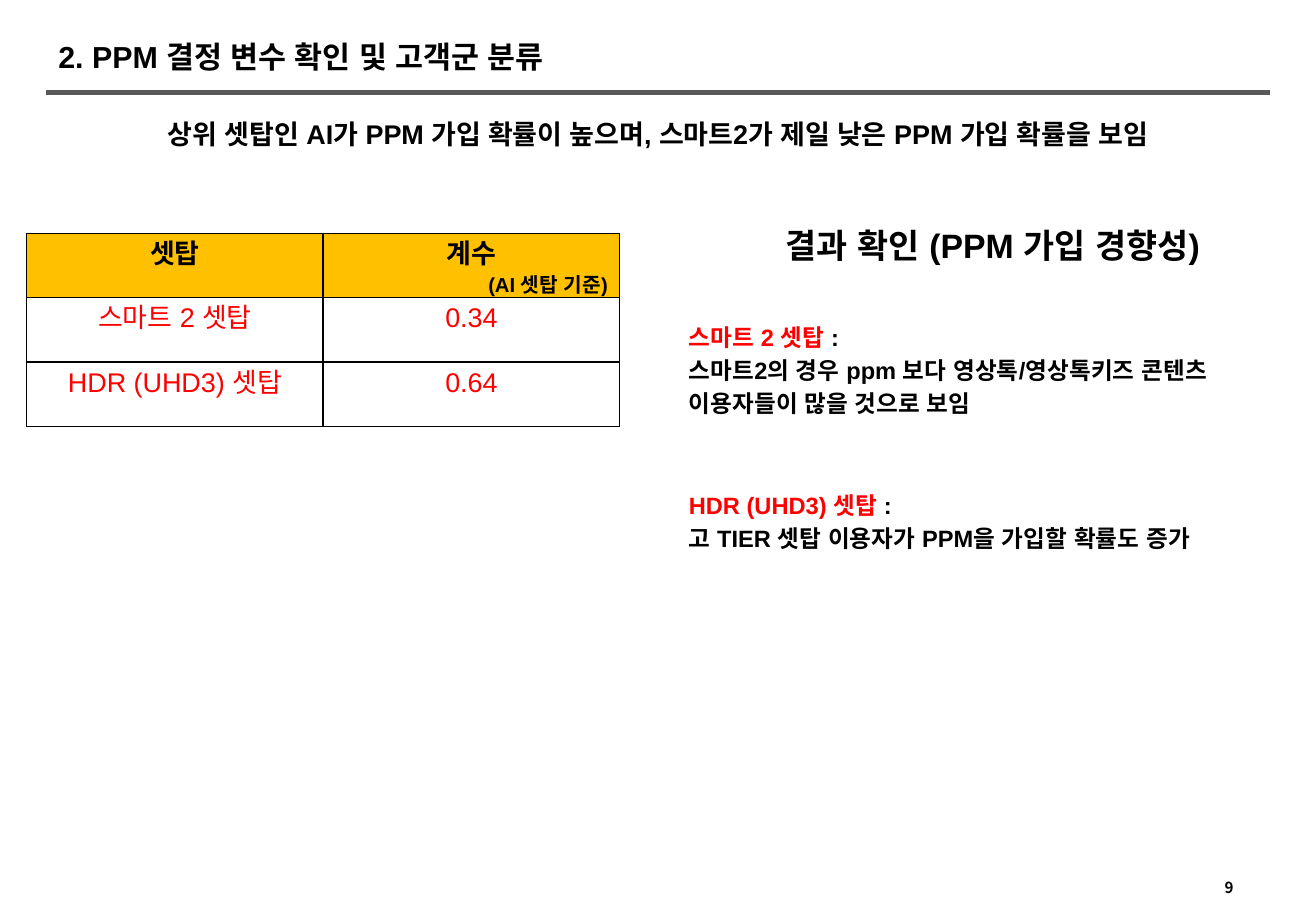
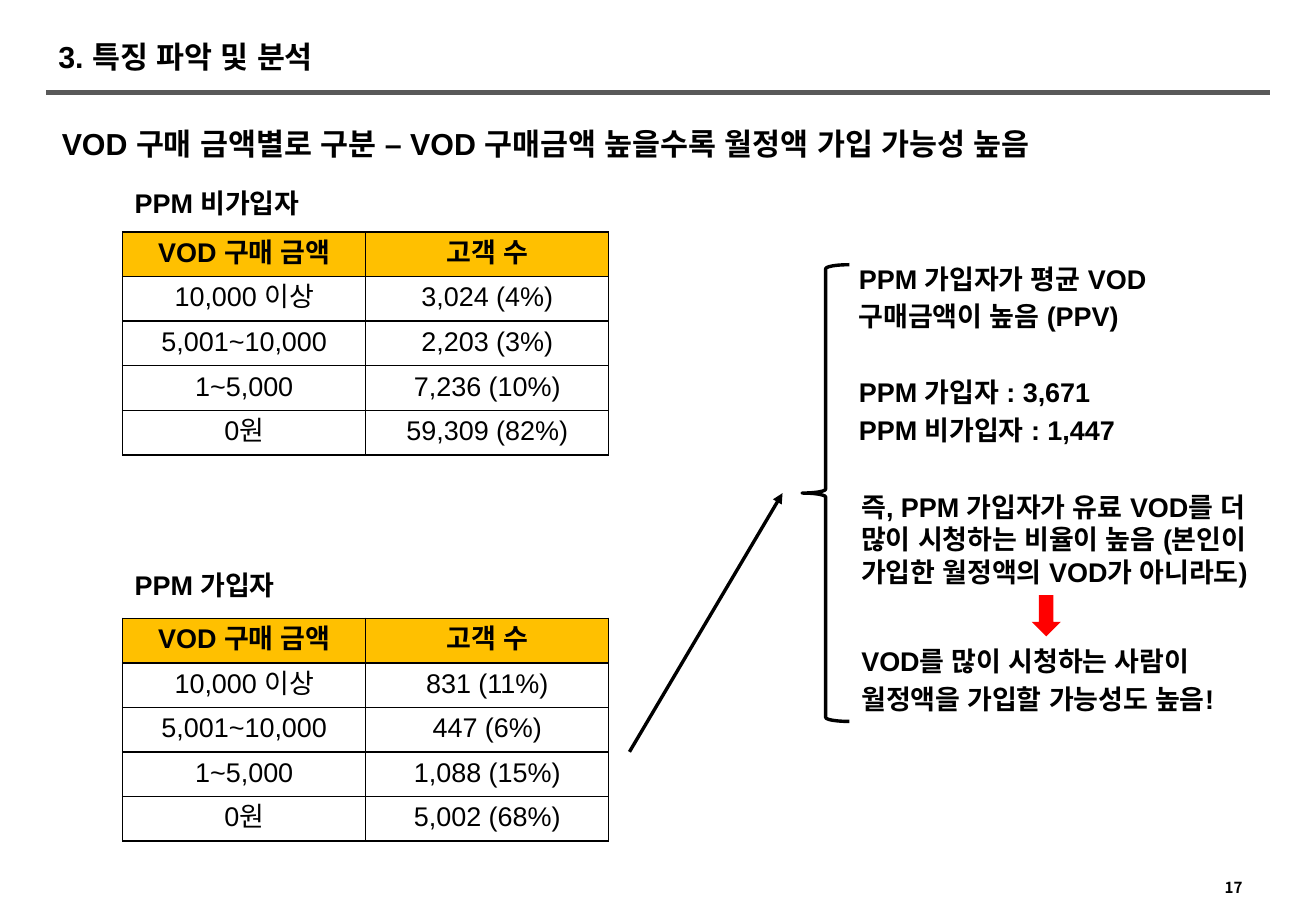
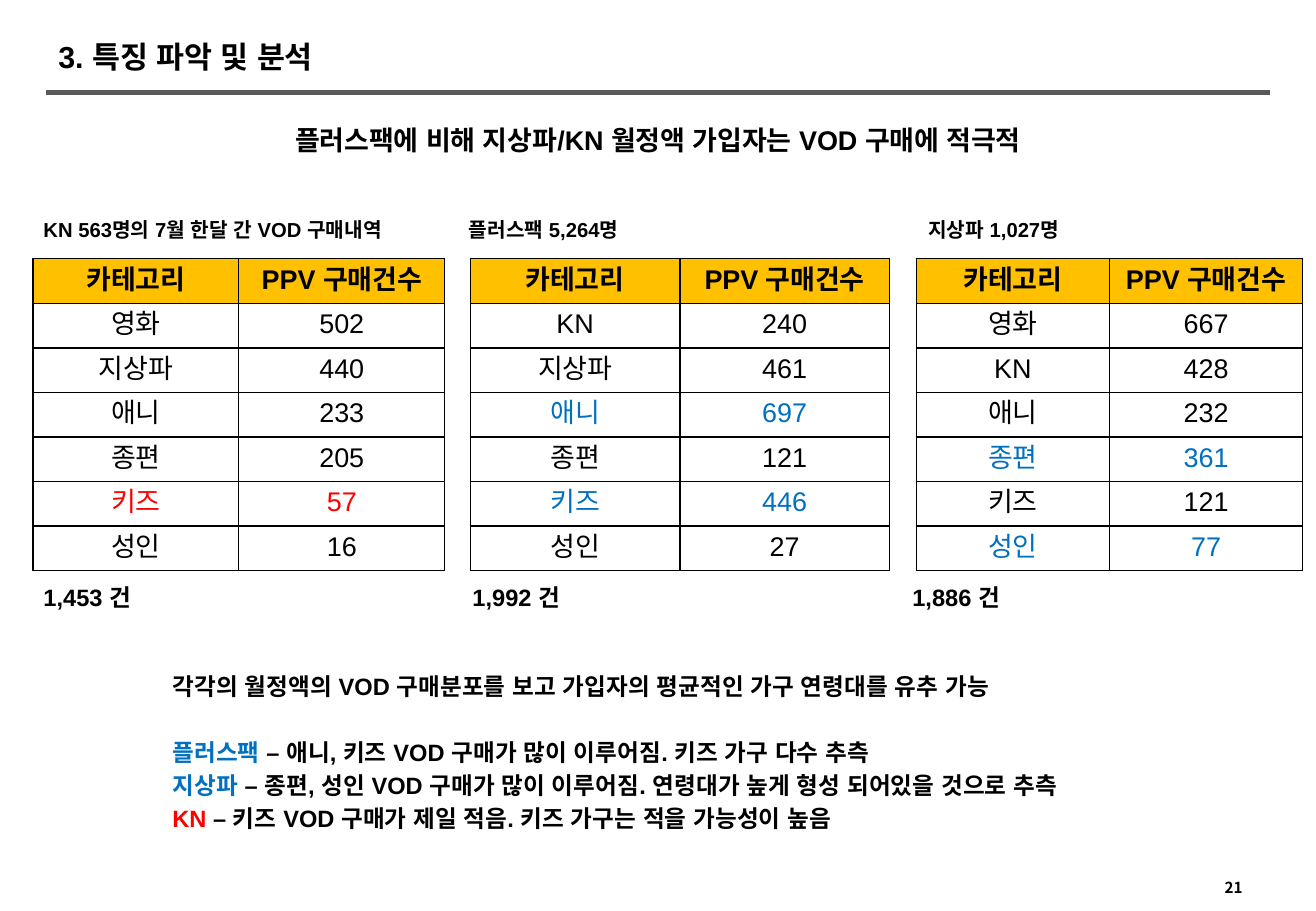
from lxml import etree
from pptx import Presentation
from pptx import util as u
from pptx.dml.color import RGBColor
from pptx.enum import shapes, text
from pptx.oxml import ns

BLACK = RGBColor(0x00, 0x00, 0x00)
WHITE = RGBColor(0xFF, 0xFF, 0xFF)
GREY = RGBColor(0x59, 0x59, 0x59)
AMBER = RGBColor(0xFF, 0xC0, 0x00)
RED = RGBColor(0xFF, 0x00, 0x00)
BLUE = RGBColor(0x00, 0x70, 0xC0)
CENTER = text.PP_ALIGN.CENTER
LEFT = text.PP_ALIGN.LEFT


def write(frame, paras, size=16, color=BLACK, bold=True, align=LEFT,
          font="Arial", gaps=()):
    """Fill a frame. A para is a string or a list of (text, colour) spans;
    the indexes in gaps get one extra line of space before them."""
    frame.word_wrap = True
    for index, spans in enumerate(paras):
        para = frame.paragraphs[0] if index == 0 else frame.add_paragraph()
        para.alignment = align
        if index:
            para.space_before = u.Pt(size * (1.6 if index in gaps else 0.2))
        if isinstance(spans, str):
            spans = [(spans, color)]
        for words, tint in spans:
            span = para.add_run()
            span.text = words
            span.font.size = u.Pt(size)
            span.font.bold = bold
            span.font.color.rgb = tint
            span.font.name = font
            east = etree.SubElement(span.font._element, ns.qn("a:ea"))
            east.set("typeface", font)


class Report:
    """Holds the deck, its style and the current page."""

    def __init__(self):
        self.deck = Presentation()
        self.deck.slide_width = u.Inches(10.83)
        self.deck.slide_height = u.Inches(7.5)
        self.page = None

    def new_page(self, title, number):
        self.page = self.deck.slides.add_slide(self.deck.slide_layouts[5])
        # Title placeholder
        box = self.page.shapes.title
        box.left, box.top = u.Inches(0.38), u.Inches(0.27)
        box.width, box.height = u.Inches(7), u.Inches(0.38)
        box.text_frame.auto_size = text.MSO_AUTO_SIZE.NONE
        box.text_frame.vertical_anchor = text.MSO_ANCHOR.MIDDLE
        write(box.text_frame, [title], size=18)
        # Rule under the title and page number
        self.line((0.38, 0.76), (10.45, 0.76), color=GREY, width=3)
        self.text(9.98, 7.18, 0.47, 0.25, [str(number)], size=9,
                  font="Noto Sans CJK KR")

    def text(self, left, top, width, height, paras, **style):
        box = self.page.shapes.add_textbox(
            u.Inches(left), u.Inches(top), u.Inches(width), u.Inches(height))
        write(box.text_frame, paras, **style)

    def line(self, start, end, color=BLACK, width=2, arrow=False):
        line = self.page.shapes.add_connector(
            shapes.MSO_CONNECTOR.STRAIGHT,
            *(u.Inches(value) for value in (*start, *end)))
        line.line.color.rgb = color
        line.line.width = u.Pt(width)
        if arrow:
            tail = etree.SubElement(line.line._get_or_add_ln(), ns.qn("a:tailEnd"))
            tail.set("type", "triangle")
        etree.SubElement(line._element.spPr, ns.qn("a:effectLst"))

    def shape(self, kind, left, top, width, height, fill, outline=None):
        shape = self.page.shapes.add_shape(
            kind, u.Inches(left), u.Inches(top), u.Inches(width), u.Inches(height))
        shape.shadow.inherit = False
        shape.fill.solid()
        shape.fill.fore_color.rgb = fill
        if outline is None:
            shape.line.fill.background()
        else:
            shape.line.color.rgb = outline
            shape.line.width = u.Pt(2)

    def table(self, left, top, width, height, header, rows, accents=None):
        """Draw a table; accents maps a row's first cell to its text colour."""
        accents = accents or {}
        lines = [header, *rows]
        table = self.page.shapes.add_table(
            len(lines), len(header), u.Inches(left), u.Inches(top),
            u.Inches(width), u.Inches(height)).table
        table.first_row = table.horz_banding = False
        for row, values in enumerate(lines):
            for column, value in enumerate(values):
                cell = table.cell(row, column)
                write(cell.text_frame, [value], bold=row == 0, align=CENTER,
                      color=accents.get(values[0], BLACK))
                cell.fill.solid()
                cell.fill.fore_color.rgb = WHITE if row else AMBER
                self.borders(cell)

    def borders(self, cell):
        properties = cell._tc.get_or_add_tcPr()
        for index, side in enumerate(("lnL", "lnR", "lnT", "lnB")):
            edge = etree.Element(ns.qn("a:" + side), w=str(u.Pt(1)))
            fill = etree.SubElement(edge, ns.qn("a:solidFill"))
            etree.SubElement(fill, ns.qn("a:srgbClr"), val=str(BLACK))
            properties.insert(index, edge)


def set_top_page(report):
    report.new_page("2. PPM 결정 변수 확인 및 고객군 분류", 9)
    report.text(0.73, 0.92, 9.37, 0.37,
                ["상위 셋탑인 AI가 PPM 가입 확률이 높으며, 스마트2가 제일 낮은 PPM 가입 확률을 보임"],
                align=CENTER)
    # Coefficients
    rows = [("스마트 2 셋탑", "0.34"), ("HDR (UHD3) 셋탑", "0.64")]
    report.table(0.22, 1.92, 4.88, 1.59, ("셋탑", "계수"), rows,
                 accents={name: RED for name, _ in rows})
    report.text(3.92, 2.19, 1.97, 0.3, ["(AI 셋탑 기준)"], size=12)
    # Findings
    report.text(5.73, 1.8, 4.88, 0.44, ["결과 확인 (PPM 가입 경향성)"],
                size=20, align=CENTER)
    findings = [
        (2.61, 0.94, "스마트 2 셋탑 ",
         ["스마트2의 경우 ppm 보다 영상톡/영상톡키즈 콘텐츠", "이용자들이 많을 것으로 보임"]),
        (3.99, 0.62, "HDR (UHD3) 셋탑 ",
         ["고 TIER 셋탑 이용자가 PPM을 가입할 확률도 증가"]),
    ]
    for top, height, name, notes in findings:
        report.text(5.57, top, 4.94, height,
                    [[(name, RED), (":", BLACK)], *notes], size=14)


def spending_page(report):
    report.new_page("3. 특징 파악 및 분석", 17)
    report.text(0.41, 0.98, 8.78, 0.4,
                ["VOD 구매 금액별로 구분 – VOD 구매금액 높을수록 월정액 가입 가능성 높음"],
                size=18)
    # Customers by amount spent
    amounts = ("10,000 이상", "5,001~10,000", "1~5,000", "0원")
    groups = [
        ("PPM 비가입자", 1.49, 1.91,
         ("3,024 (4%)", "2,203 (3%)", "7,236 (10%)", "59,309 (82%)")),
        ("PPM 가입자", 4.63, 5.09,
         ("831 (11%)", "447 (6%)", "1,088 (15%)", "5,002 (68%)")),
    ]
    for name, label_top, table_top, counts in groups:
        report.text(1.01, label_top, 1.81, 0.37, [name])
        report.table(1.01, table_top, 4, 1.83, ("VOD 구매 금액", "고객 수"),
                     list(zip(amounts, counts)))
    # Conclusion
    report.line((5.18, 6.19), (6.44, 4.06), arrow=True)
    report.shape(shapes.MSO_SHAPE.LEFT_BRACE, 6.6, 2.18, 0.39, 3.76,
                 WHITE, outline=BLACK)
    report.text(6.97, 2.11, 3.57, 1.66,
                ["PPM 가입자가 평균 VOD", "구매금액이 높음 (PPV)",
                 "PPM 가입자 : 3,671", "PPM 비가입자 : 1,447"], gaps=(2,))
    report.text(6.99, 3.99, 3.54, 0.91,
                ["즉, PPM 가입자가 유료 VOD를 더 많이 시청하는 비율이 높음 "
                 "(본인이 가입한 월정액의 VOD가 아니라도)"])
    report.shape(shapes.MSO_SHAPE.DOWN_ARROW, 8.49, 4.9, 0.24, 0.34, RED)
    report.text(6.99, 5.26, 3.31, 0.69,
                ["VOD를 많이 시청하는 사람이", "월정액을 가입할 가능성도 높음!"])


def category_page(report):
    report.new_page("3. 특징 파악 및 분석", 21)
    report.text(2.11, 0.97, 6.61, 0.37,
                ["플러스팩에 비해 지상파/KN 월정액 가입자는 VOD 구매에 적극적"],
                align=CENTER)
    # Purchases by plan: caption, caption place and width, table place and width
    plans = [
        ("KN 563명의 7월 한달 간 VOD 구매내역", 0.26, 3.27, 0.27, 3.39,
         [("영화", "502"), ("지상파", "440"), ("애니", "233"),
          ("종편", "205"), ("키즈", "57"), ("성인", "16")],
         {"키즈": RED}, "1,453 건", 0.26),
        ("플러스팩 5,264명", 3.76, 2.05, 3.87, 3.45,
         [("KN", "240"), ("지상파", "461"), ("애니", "697"),
          ("종편", "121"), ("키즈", "446"), ("성인", "27")],
         {"애니": BLUE, "키즈": BLUE}, "1,992 건", 3.79),
        ("지상파 1,027명", 7.54, 1.73, 7.54, 3.18,
         [("영화", "667"), ("KN", "428"), ("애니", "232"),
          ("종편", "361"), ("키즈", "121"), ("성인", "77")],
         {"종편": BLUE, "성인": BLUE}, "1,886 건", 7.41),
    ]
    for (caption, caption_left, caption_width, left, width, rows, accents,
         total, total_left) in plans:
        report.text(caption_left, 1.74, caption_width, 0.3, [caption], size=12)
        report.table(left, 2.13, width, 2.57, ("카테고리", "PPV 구매건수"),
                     rows, accents)
        report.text(total_left, 4.75, 1.34, 0.34, [total], size=14)
    # Reading of the tables
    report.text(1.32, 5.48, 8.19, 1.47, [
        "각각의 월정액의 VOD 구매분포를 보고 가입자의 평균적인 가구 연령대를 유추 가능",
        [("플러스팩 ", BLUE),
         ("– 애니, 키즈 VOD 구매가 많이 이루어짐. 키즈 가구 다수 추측", BLACK)],
        [("지상파 ", BLUE),
         ("– 종편, 성인 VOD 구매가 많이 이루어짐. 연령대가 높게 형성 되어있을 것으로 추측", BLACK)],
        [("KN", RED),
         (" – 키즈 VOD 구매가 제일 적음. 키즈 가구는 적을 가능성이 높음", BLACK)],
    ], size=14, gaps=(1,))


def main():
    report = Report()
    set_top_page(report)
    spending_page(report)
    category_page(report)
    report.deck.save("out.pptx")


if __name__ == "__main__":
    main()
